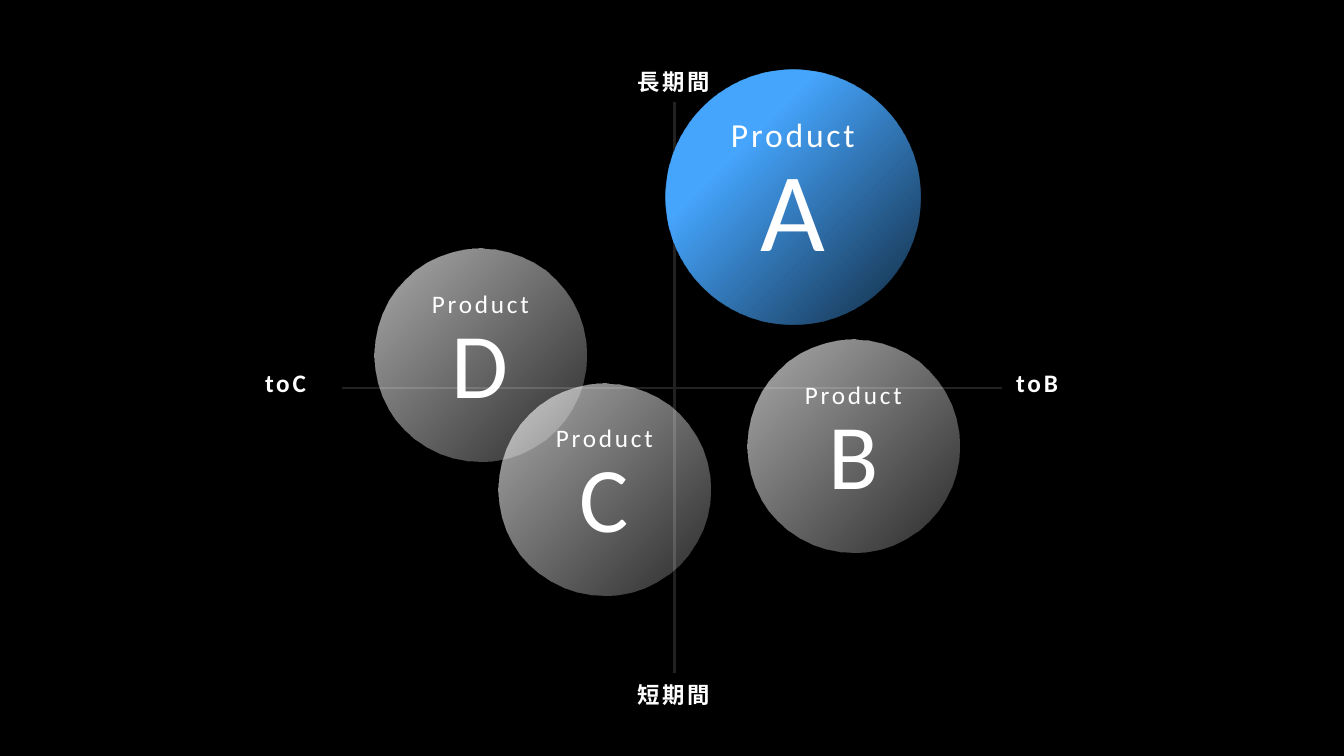
from lxml import etree
from pptx import Presentation
from pptx import util as u
from pptx.dml.color import RGBColor
from pptx.enum import shapes, text
from pptx.oxml import ns

BLACK = RGBColor(0x00, 0x00, 0x00)
WHITE = RGBColor(0xFF, 0xFF, 0xFF)
AXIS_GREY = RGBColor(0x22, 0x22, 0x22)
BLUE = RGBColor(0x47, 0xA7, 0xFF)


class ProductMap:
    """Draws a two-axis product map on one dark slide."""

    font_name = "Calibri"
    letter_spacing = 200

    def __init__(self, slide):
        self.slide = slide
        slide.background.fill.solid()
        slide.background.fill.fore_color.rgb = BLACK

    def axis(self, x1, y1, x2, y2):
        line = self.slide.shapes.add_connector(
            shapes.MSO_CONNECTOR.STRAIGHT, *map(u.Inches, (x1, y1, x2, y2)))
        line.line.color.rgb = AXIS_GREY
        line.line.width = u.Pt(1.5)
        etree.SubElement(line._element.spPr, ns.qn("a:effectLst"))

    def style(self, paragraph, size, align, bold=False):
        paragraph.alignment = align
        font = paragraph.font
        font.name = self.font_name
        font.size = u.Pt(size)
        font.bold = bold
        font.color.rgb = WHITE
        font._rPr.set("spc", str(self.letter_spacing))

    def label(self, wording, left, top, width, height, size, align):
        box = self.slide.shapes.add_textbox(
            *map(u.Inches, (left, top, width, height)))
        frame = box.text_frame
        frame.word_wrap = True
        frame.auto_size = text.MSO_AUTO_SIZE.SHAPE_TO_FIT_TEXT
        frame.text = wording
        self.style(frame.paragraphs[0], size, align, bold=True)

    def bubble(self, letter, left, top, diameter, sizes, color, stops, inset):
        circle = self.slide.shapes.add_shape(
            shapes.MSO_SHAPE.OVAL,
            *map(u.Inches, (left, top, diameter, diameter)))
        circle.shadow.inherit = False
        circle.line.fill.background()
        circle.fill.gradient()
        circle.fill.gradient_angle = 315
        for stop, (position, opacity) in zip(circle.fill.gradient_stops, stops):
            stop.position = position
            stop.color.rgb = color
            tint = stop._gs.find(ns.qn("a:srgbClr"))
            etree.SubElement(tint, ns.qn("a:alpha"), val=str(opacity * 1000))

        frame = circle.text_frame
        frame.word_wrap = True
        frame.vertical_anchor = text.MSO_ANCHOR.MIDDLE
        frame.margin_left = frame.margin_right = u.Inches(inset)
        frame.margin_top = frame.margin_bottom = u.Inches(inset / 2)
        frame.text = f"Product\n{letter}"
        for paragraph, size in zip(frame.paragraphs, sizes):
            paragraph.line_spacing = 0.9
            self.style(paragraph, size, text.PP_ALIGN.CENTER)


def main():
    deck = Presentation()
    deck.slide_width, deck.slide_height = u.Inches(13.33), u.Inches(7.5)
    product_map = ProductMap(deck.slides.add_slide(deck.slide_layouts[6]))
    left, center = text.PP_ALIGN.LEFT, text.PP_ALIGN.CENTER

    product_map.axis(3.39, 3.85, 9.94, 3.85)
    product_map.axis(6.69, 6.68, 6.69, 1.01)

    product_map.bubble("A", 6.6, 0.69, 2.53, (24, 80), BLUE,
                       ((0.29, 100), (1, 24)), 0)

    product_map.label("toB", 9.98, 3.59, 1.71, 0.4, 18, left)
    product_map.label("短期間", 6.07, 6.71, 1.23, 0.37, 16, center)
    product_map.label("toC", 2.53, 3.59, 0.99, 0.4, 18, left)
    product_map.label("長期間", 6.04, 0.63, 1.29, 0.37, 16, center)

    for letter, x, y in (("B", 7.41, 3.37), ("C", 4.94, 3.8), ("D", 3.71, 2.47)):
        product_map.bubble(letter, x, y, 2.11, (18, 66), WHITE,
                           ((0, 68), (1, 17)), 0.1)

    deck.save("out.pptx")


if __name__ == "__main__":
    main()
